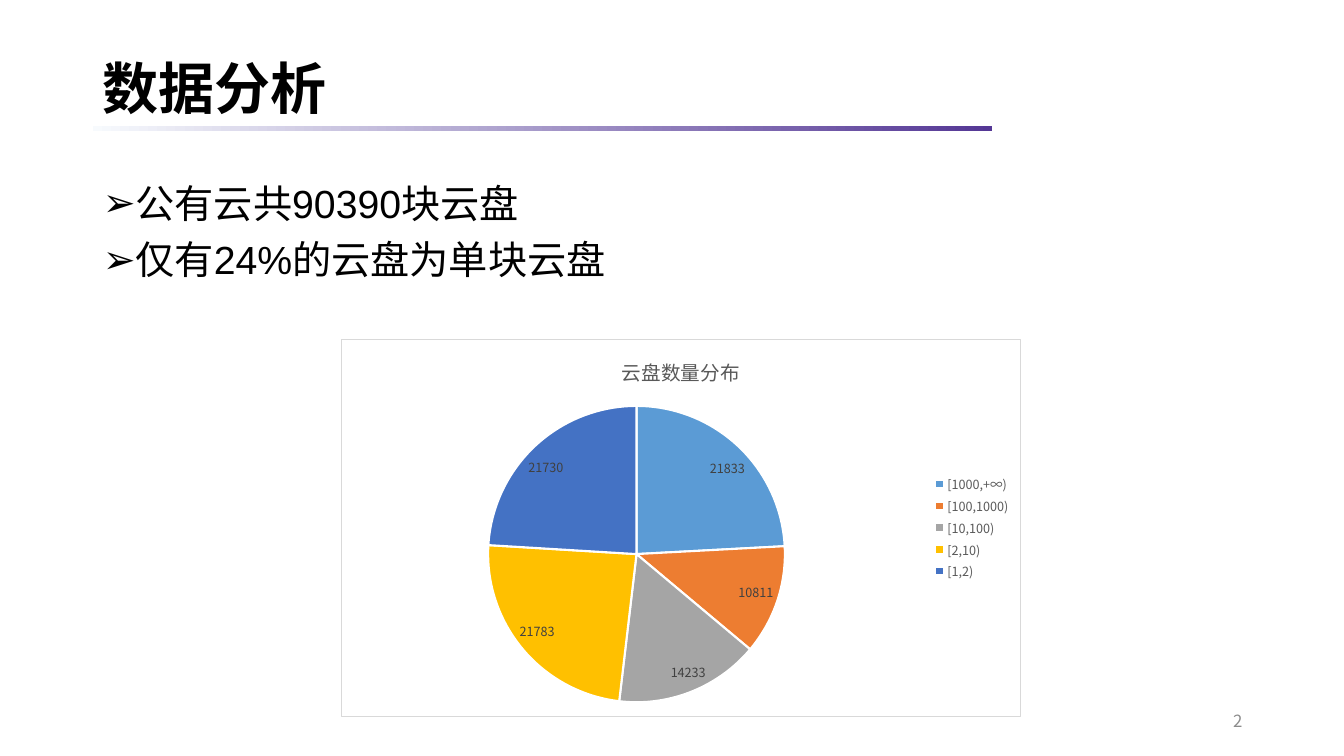
from lxml import etree
from pptx import Presentation
from pptx.chart.data import CategoryChartData
from pptx.dml.color import RGBColor
from pptx.enum.chart import XL_CHART_TYPE, XL_LABEL_POSITION as LabelPosition, XL_LEGEND_POSITION as LegendPosition
from pptx.enum.shapes import MSO_SHAPE
from pptx.enum.text import MSO_ANCHOR, MSO_AUTO_SIZE, PP_ALIGN
from pptx.oxml import parse_xml
from pptx.oxml.ns import nsdecls, qn
from pptx.util import Inches, Pt

BLACK = RGBColor(0x00, 0x00, 0x00)
WHITE = RGBColor(0xFF, 0xFF, 0xFF)
PALE = RGBColor(0xF7, 0xFA, 0xFD)
PURPLE = RGBColor(0x54, 0x37, 0x95)
TEXT_GREY = RGBColor(0x59, 0x59, 0x59)
LABEL_GREY = RGBColor(0x40, 0x40, 0x40)
NUMBER_GREY = RGBColor(0x8C, 0x8C, 0x8C)
SLICES = [
    ("[1000,+∞)", 21833, RGBColor(0x5B, 0x9B, 0xD5)),
    ("[100,1000)", 10811, RGBColor(0xED, 0x7D, 0x31)),
    ("[10,100)", 14233, RGBColor(0xA5, 0xA5, 0xA5)),
    ("[2,10)", 21783, RGBColor(0xFF, 0xC0, 0x00)),
    ("[1,2)", 21730, RGBColor(0x44, 0x72, 0xC4)),
]
LATIN = "Arial"
CJK = "Noto Sans CJK SC"


def style(font, size, color, name=CJK, bold=False):
    font.size = Pt(size)
    font.color.rgb = color
    font.name = name
    font.bold = bold
    east_asian = etree.Element(qn("a:ea"), typeface=CJK)
    font._element.find(qn("a:latin")).addnext(east_asian)


def place(box, left, top, width, height):
    box.left, box.top = Inches(left), Inches(top)
    box.width, box.height = Inches(width), Inches(height)


deck = Presentation()
deck.slide_width, deck.slide_height = Inches(13.33), Inches(7.5)
page = deck.slides.add_slide(deck.slide_layouts[1])

rule = page.shapes.add_shape(MSO_SHAPE.RECTANGLE, Inches(0.92), Inches(1.25), Inches(8.92), Inches(0.05))
rule.shadow.inherit = False
rule.line.fill.background()
rule.fill.gradient()
rule.fill.gradient_angle = 0
for stop, color in zip(rule.fill.gradient_stops, (PALE, PURPLE)):
    stop.color.rgb = color

title = page.shapes.title
place(title, 0.92, 0.18, 11.5, 1.45)
title.text_frame.text = "数据分析"
title.text_frame.vertical_anchor = MSO_ANCHOR.MIDDLE
heading = title.text_frame.paragraphs[0]
heading.alignment = PP_ALIGN.LEFT
heading.line_spacing = 0.9
style(heading.runs[0].font, 40, BLACK, LATIN, True)

body = page.placeholders[1]
place(body, 0.92, 1.78, 11.5, 5.33)
body.text_frame.text = "公有云共90390块云盘\n仅有24%的云盘为单块云盘"
body.text_frame.auto_size = MSO_AUTO_SIZE.NONE
for para in body.text_frame.paragraphs:
    para.line_spacing = 0.9
    para.space_before = Pt(10)
    style(para.runs[0].font, 28, BLACK, LATIN)
    properties = para._p.get_or_add_pPr()
    properties.set("marL", str(Inches(0.25)))
    properties.set("indent", str(-Inches(0.25)))
    etree.SubElement(properties, qn("a:buFont"), typeface=LATIN)
    etree.SubElement(properties, qn("a:buChar"), char="➢")

number = page.shapes.add_textbox(Inches(9.42), Inches(6.95), Inches(3), Inches(0.4))
number.text_frame.word_wrap = True
number.text_frame.vertical_anchor = MSO_ANCHOR.MIDDLE
number.text_frame.text = "2"
number.text_frame.paragraphs[0].alignment = PP_ALIGN.RIGHT
style(number.text_frame.paragraphs[0].runs[0].font, 12, NUMBER_GREY)

data = CategoryChartData()
data.categories = [name for name, count, color in SLICES]
data.add_series("云盘数量分布", [count for name, count, color in SLICES])
chart = page.shapes.add_chart(
    XL_CHART_TYPE.PIE, Inches(3.38), Inches(3.36), Inches(6.75), Inches(3.75), data
).chart
style(chart.font, 10, BLACK)

chart.has_title = True
chart.chart_title.include_in_layout = False
chart.chart_title.text_frame.text = "云盘数量分布"
style(chart.chart_title.text_frame.paragraphs[0].runs[0].font, 14, TEXT_GREY)

chart.has_legend = True
chart.legend.position = LegendPosition.RIGHT
chart.legend.include_in_layout = False
style(chart.legend.font, 9, TEXT_GREY)

pie = chart.plots[0]
pie.vary_by_categories = True
for index, (name, count, color) in enumerate(SLICES):
    point = pie.series[0].points[index]
    point.format.fill.solid()
    point.format.fill.fore_color.rgb = color
    point.format.line.color.rgb = WHITE
    point.format.line.width = Pt(1.5)

pie.has_data_labels = True
labels = pie.data_labels
labels.show_value = True
labels.show_percentage = False
labels.position = LabelPosition.BEST_FIT
style(labels.font, 9, LABEL_GREY)

frame = parse_xml(
    f'<c:spPr {nsdecls("c", "a")}>'
    '<a:solidFill><a:srgbClr val="FFFFFF"/></a:solidFill>'
    f'<a:ln w="{Pt(0.75)}"><a:solidFill><a:srgbClr val="D9D9D9"/></a:solidFill></a:ln>'
    '</c:spPr>'
)
chart._chartSpace.find(qn("c:chart")).addnext(frame)

deck.save("out.pptx")
